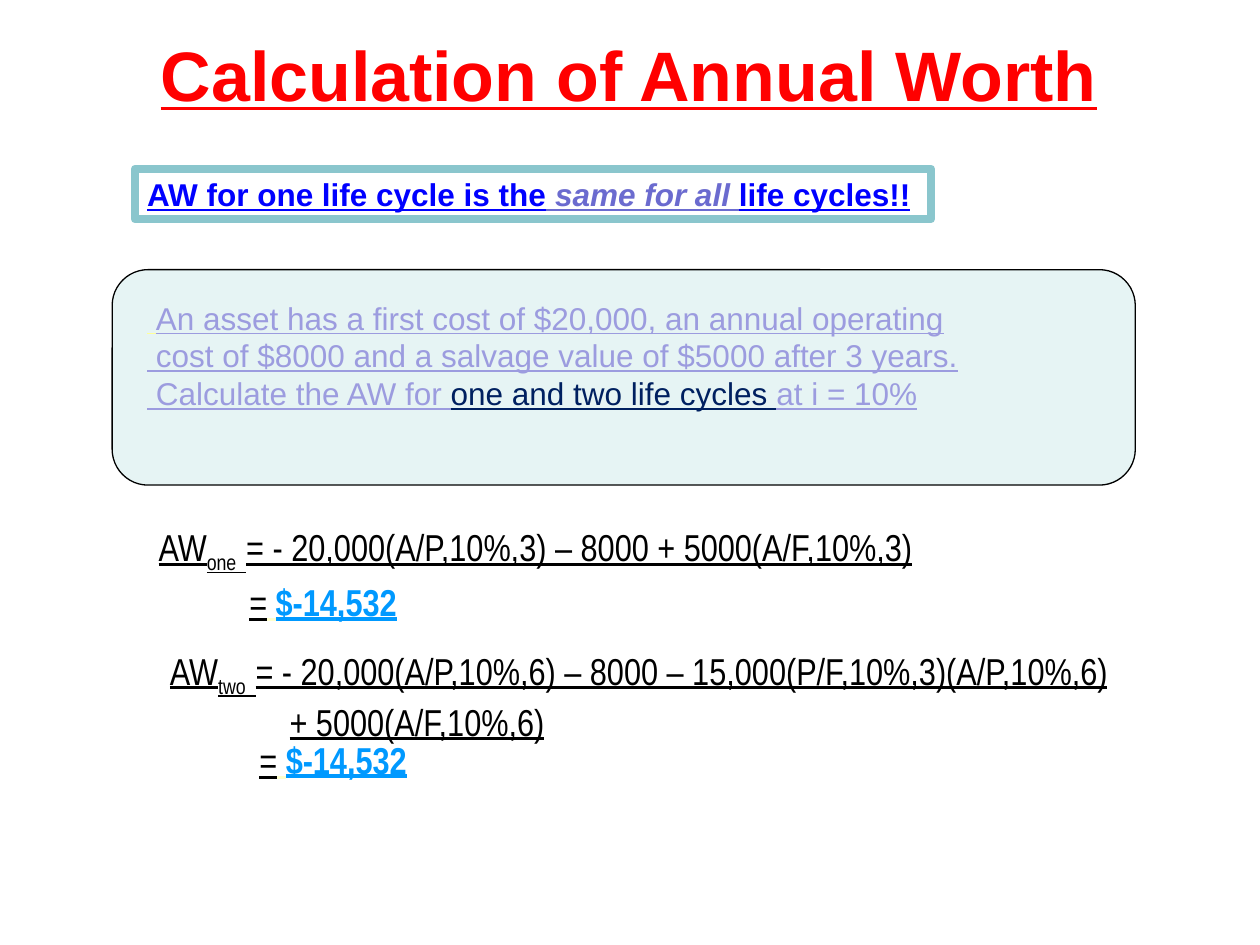
from typing import NamedTuple, Optional

from lxml.etree import SubElement as Sub
from pptx import Presentation
from pptx.dml.color import RGBColor as RGB
from pptx.enum.shapes import MSO_SHAPE as Shape
from pptx.enum.text import MSO_ANCHOR as Anchor, MSO_AUTO_SIZE as Fit, PP_ALIGN as Align
from pptx.oxml.ns import qn
from pptx.util import Emu, Inches, Pt

BLACK = RGB(0x00, 0x00, 0x00)
RED = RGB(0xFF, 0x00, 0x00)
BLUE = RGB(0x00, 0x00, 0xFF)
NAVY = RGB(0x00, 0x20, 0x60)
SKY = RGB(0x00, 0x99, 0xFF)
LILAC = RGB(0x9C, 0x9C, 0xDF)
VIOLET = RGB(0x6B, 0x6B, 0xCF)
YELLOW = RGB(0xFF, 0xFF, 0x99)
CREAM = RGB(0xFF, 0xFF, 0xCC)
TEAL = RGB(0x8A, 0xC6, 0xCD)
MIST = RGB(0xE4, 0xF3, 0xF4)

WIDE, HIGH = Inches(10), Inches(7.5)
COLS, ROWS = 100, 75  # grid of tenths of an inch


class Area(NamedTuple):
    """A place on the grid, in columns and rows."""
    col: float
    row: float
    cols: float
    rows: float

    def emu(self) -> list[Emu]:
        return [Emu(round(n * side / count)) for n, side, count in
                zip(self, (WIDE, HIGH) * 2, (COLS, ROWS) * 2)]


class Style(NamedTuple):
    font: str
    size: float
    bold: bool = False


class Bit(NamedTuple):
    """A stretch of text in one format."""
    text: str
    color: RGB = BLACK
    bold: bool = False
    slant: bool = False
    sub: bool = False


class Block(NamedTuple):
    area: Area
    style: Style
    lines: list[list[Bit]]
    wrap: bool = True
    tab: float = 0


TITLE = Style("Arial", 40, True)
NOTE = Style("Arial", 18, True)
BODY = Style("Arial", 18)
MATH = Style("Arial Narrow", 21.4)


def write(frame, block: Block) -> None:
    frame.word_wrap = block.wrap
    frame.auto_size = Fit.SHAPE_TO_FIT_TEXT
    frame.vertical_anchor = Anchor.TOP
    for i, line in enumerate(block.lines):
        para = frame.add_paragraph() if i else frame.paragraphs[0]
        para.alignment = Align.LEFT
        if block.tab:
            stops = Sub(para._p.get_or_add_pPr(), qn("a:tabLst"))
            Sub(stops, qn("a:tab"), pos=str(Inches(block.tab)), algn="l")
        for bit in line:
            run = para.add_run()
            run.text = bit.text
            font = run.font
            font.name, font.size = block.style.font, Pt(block.style.size)
            font.bold = block.style.bold or bit.bold
            font.italic, font.underline = bit.slant, True
            font.color.rgb = bit.color
            if bit.sub:
                font._element.set("baseline", "-25000")


def box(slide, block: Block):
    frame = slide.shapes.add_textbox(*block.area.emu()).text_frame
    write(frame, block)
    return frame


def panel(slide, kind: Shape, area: Area, line: RGB, width: float,
          fill: Optional[RGB] = None, alpha: int = 100):
    shape = slide.shapes.add_shape(kind, *area.emu())
    shape.shadow.inherit = False
    shape.line.color.rgb, shape.line.width = line, Pt(width)
    if fill is None:
        shape.fill.background()
    else:
        shape.fill.solid()
        shape.fill.fore_color.rgb = fill
        tint = shape.fill._xPr.find(qn("a:solidFill"))[0]
        Sub(tint, qn("a:alpha"), val=str(alpha * 1000))
    return shape


def worth(name: str, terms: str) -> list[Bit]:
    return [Bit("AW"), Bit(f"{name}  ", sub=True), Bit(terms)]


def answer(col: float, row: float) -> Block:
    bits = [Bit("="), Bit(" ", CREAM), Bit("$-14,532", SKY, bold=True)]
    return Block(Area(col, row, 13.9, 4.6), MATH, [bits], wrap=False)


HEAD = Block(Area(8.9, 1.8, 82, 8), TITLE, [[Bit("Calculation of Annual Worth", RED)]])

CLAIM = Block(Area(10.7, 13.4, 63.2, 4), NOTE, [[
    Bit("AW for one life cycle is the", BLUE),
    Bit(" same for all ", VIOLET, slant=True),
    Bit("life cycles!!", BLUE)]], wrap=False)

TASK = Block(Area(10.7, 23.2, 78.1, 10.1), BODY, [
    [Bit(" ", YELLOW),
     Bit("An asset has a first cost of $20,000, an annual operating", LILAC)],
    [Bit(" cost of $8000 and a salvage value of $5000 after 3 years.", LILAC)],
    [Bit(" Calculate the AW for ", LILAC), Bit("one and two life cycles ", NAVY),
     Bit("at i = 10%", LILAC)]])

STEPS = [
    Block(Area(11.6, 41.1, 75.9, 4.6), MATH,
          [worth("one", "= - 20,000(A/P,10%,3) – 8000 + 5000(A/F,10%,3)")]),
    answer(18.8, 45.5),
    Block(Area(12.5, 50.9, 80.4, 8.2), MATH,
          [worth("two", "= - 20,000(A/P,10%,6) – 8000 – 15,000(P/F,10%,3)(A/P,10%,6)"),
           [Bit("\t+ 5000(A/F,10%,6)")]], tab=0.95),
    answer(19.6, 58),
]


def main() -> None:
    deck = Presentation()
    deck.slide_width, deck.slide_height = WIDE, HIGH
    slide = deck.slides.add_slide(deck.slide_layouts[6])

    # Problem panel
    panel(slide, Shape.ROUNDED_RECTANGLE, Area(8.9, 21.4, 81.2, 17.1),
          BLACK, 0.75, MIST, 91)

    # Title
    head = box(slide, HEAD)
    head.auto_size, head.vertical_anchor = Fit.NONE, Anchor.MIDDLE
    head.paragraphs[0].alignment = Align.CENTER

    # Problem and worked steps
    for block in [TASK, *STEPS]:
        box(slide, block)

    # Framed claim
    claim = panel(slide, Shape.RECTANGLE, CLAIM.area, TEAL, 4.5)
    Sub(claim.line._get_or_add_ln(), qn("a:round"))
    write(claim.text_frame, CLAIM)

    deck.save("out.pptx")


if __name__ == "__main__":
    main()
